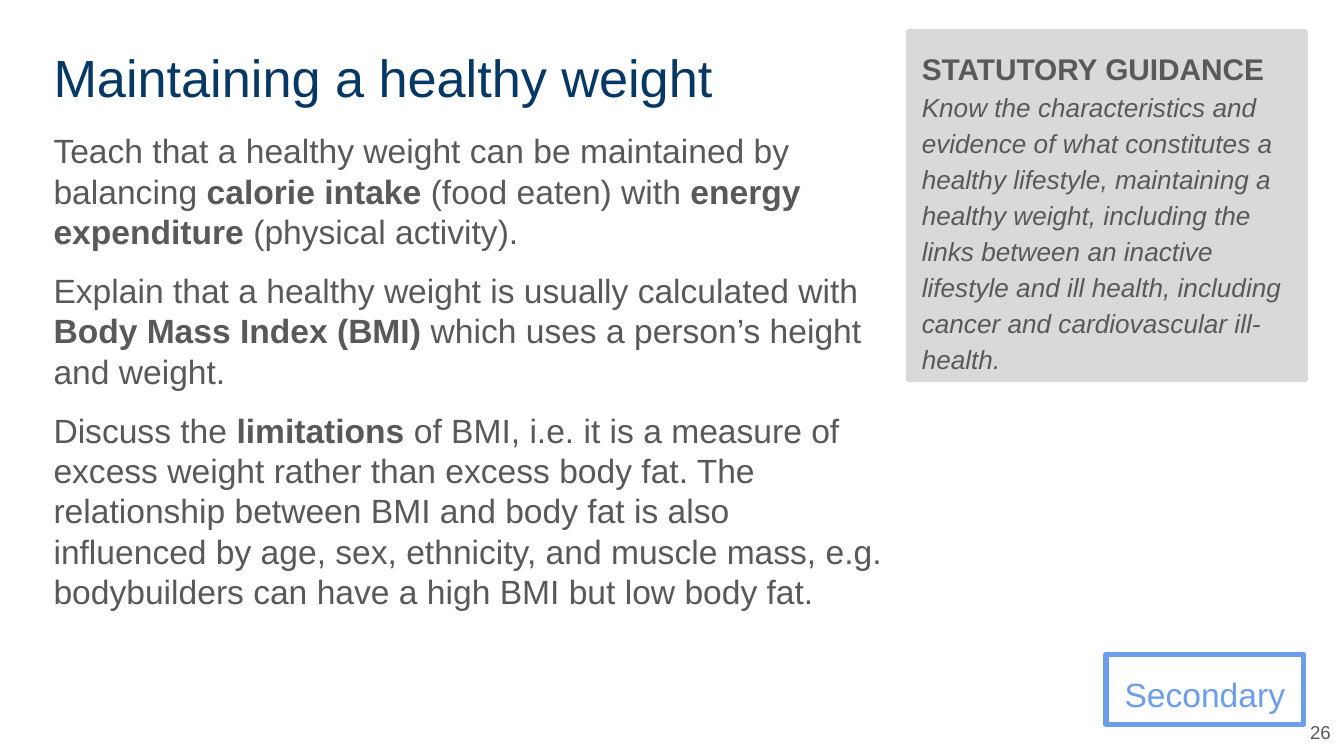
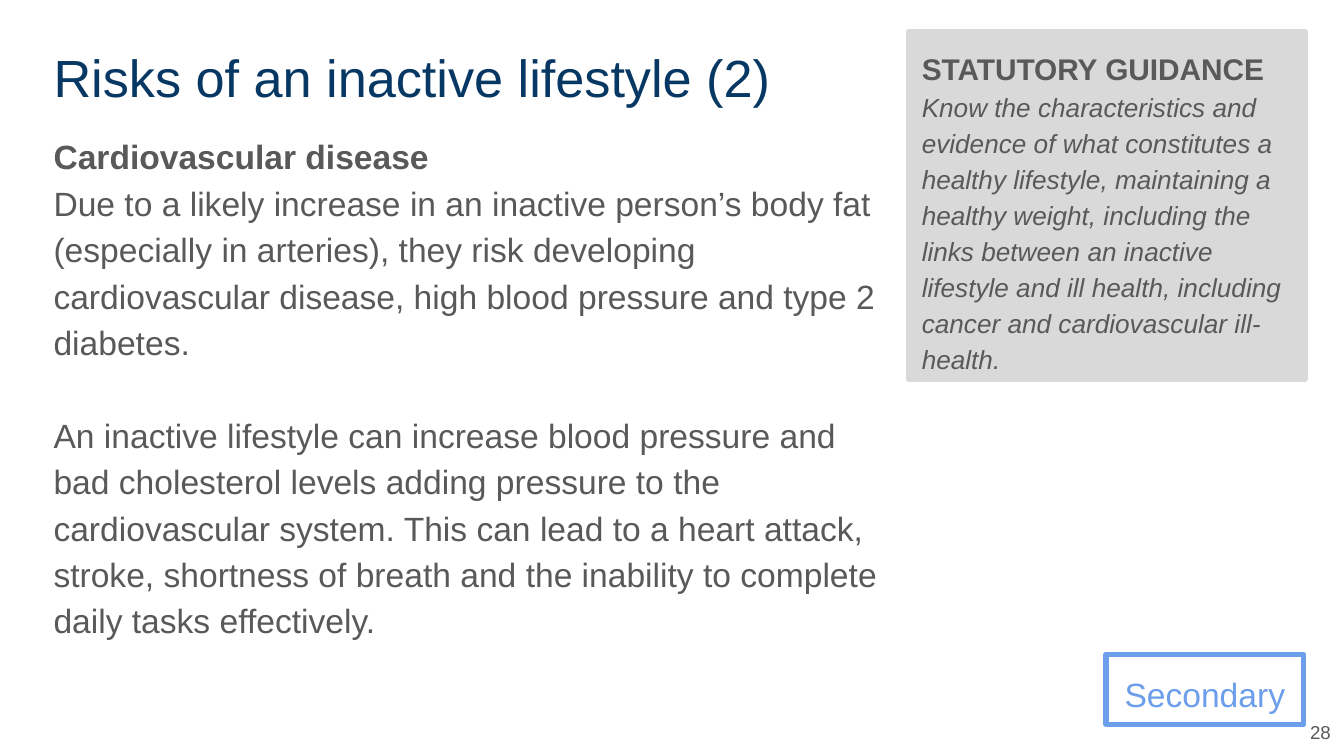
from dataclasses import dataclass

from lxml import etree
from pptx import Presentation
from pptx.dml.color import RGBColor
from pptx.enum.shapes import MSO_SHAPE
from pptx.enum.text import MSO_ANCHOR, PP_ALIGN
from pptx.oxml.ns import qn
from pptx.util import Inches, Pt

RECTANGLE = MSO_SHAPE.RECTANGLE
TOP, MIDDLE = MSO_ANCHOR.TOP, MSO_ANCHOR.MIDDLE
LEFT, CENTER, RIGHT = PP_ALIGN.LEFT, PP_ALIGN.CENTER, PP_ALIGN.RIGHT


@dataclass(frozen=True)
class Theme:
    font: str = "Arial"
    navy: str = "073763"
    text: str = "595959"
    panel: str = "D9D9D9"
    accent: str = "6D9EEB"
    title_size: int = 28
    body_size: int = 18
    heading_size: int = 16
    quote_size: int = 14
    number_size: int = 10
    border: int = 3
    loose: float = 1.15
    inset: float = 0.1


THEME = Theme()

# Grid: 100 columns by 56.25 rows of equal square cells
SLIDE_WIDTH, SLIDE_HEIGHT = Inches(10), Inches(5.625)
CELL = SLIDE_WIDTH / 100

# Regions as (column, row, columns wide, rows high)
MARGIN, TOP_ROW, TITLE_ROWS, TEXT_COLUMNS = 3, 2.4, 6.3, 64.1
BODY_ROW, TAG_ROW = TOP_ROW + TITLE_ROWS, 48.7
TITLE_BOX = (MARGIN, TOP_ROW, TEXT_COLUMNS, TITLE_ROWS)
BODY_BOX = (MARGIN, BODY_ROW, TEXT_COLUMNS, TAG_ROW - BODY_ROW)
GUIDANCE_BOX = (67.6, TOP_ROW, 29.5, 25.8)
TAG_BOX = (82.3, TAG_ROW, 14.7, 5.2)
NUMBER_BOX = (96.1, 52.6, 3.9, 3.7)

GUIDANCE_HEADING = "STATUTORY GUIDANCE"
GUIDANCE_QUOTE = (
    "Know the characteristics and evidence of what constitutes a healthy "
    "lifestyle, maintaining a healthy weight, including the links between an "
    "inactive lifestyle and ill health, including cancer and cardiovascular "
    "ill-health."
)

# Body paragraphs: (text with **bold** parts, space before in points)
LESSONS = [
    {
        "title": "Maintaining a healthy weight",
        "number": "26",
        "spacing": 1.0,
        "body": [
            ("Teach that a healthy weight can be maintained by balancing"
             "** calorie intake** (food eaten) with **energy expenditure **"
             "(physical activity).", 0),
            ("Explain that a healthy weight is usually calculated with "
             "**Body Mass Index (BMI)** which uses a person’s height and "
             "weight.", 10),
            ("Discuss the **limitations** of BMI, i.e. it is a measure of "
             "excess weight rather than excess body fat. The relationship "
             "between BMI and body fat is also influenced by age, sex, "
             "ethnicity, and muscle mass, e.g. bodybuilders can have a high "
             "BMI but low body fat.", 10),
        ],
    },
    {
        "title": "Risks of an inactive lifestyle (2)",
        "number": "28",
        "spacing": THEME.loose,
        "body": [
            ("**Cardiovascular disease**", 0),
            ("Due to a likely increase in an inactive person’s body fat "
             "(especially in arteries), they risk developing cardiovascular "
             "disease, high blood pressure and type 2 diabetes.", 0),
            ("An inactive lifestyle can increase blood pressure and bad "
             "cholesterol levels adding pressure to the cardiovascular "
             "system. This can lead to a heart attack, stroke, shortness of "
             "breath and the inability to complete daily tasks effectively.",
             25),
        ],
    },
]


def apply(target, formats):
    for name, value in formats.items():
        setattr(target, name, value)


def place(box):
    return [round(share * CELL) for share in box]


def prepare_frame(holder, anchor=TOP):
    frame = holder.text_frame
    sides = ("left", "top", "right", "bottom")
    formats = {f"margin_{side}": Inches(THEME.inset) for side in sides}
    apply(frame, formats | {"word_wrap": True, "vertical_anchor": anchor})
    return frame


def write(frame, text, size, color=THEME.text, align=LEFT, spacing=1.0,
          before=0, italic=False):
    """Add one paragraph; parts between ** marks are bold."""
    first = frame.paragraphs[0]
    paragraph = frame.add_paragraph() if first.runs else first
    apply(paragraph, {"alignment": align, "line_spacing": spacing,
                      "space_before": Pt(before), "space_after": Pt(0)})
    for index, part in enumerate(text.split("**")):
        if part:
            run = paragraph.add_run()
            run.text = part
            apply(run.font, {"name": THEME.font, "size": Pt(size),
                             "bold": index % 2 == 1, "italic": italic})
            run.font.color.rgb = RGBColor.from_string(color)


def add_text(slide, box, anchor=TOP):
    return prepare_frame(slide.shapes.add_textbox(*place(box)), anchor)


def add_panel(slide, box, border, fill=None):
    panel = slide.shapes.add_shape(RECTANGLE, *place(box))
    panel.shadow.inherit = False
    if fill:
        panel.fill.solid()
        panel.fill.fore_color.rgb = RGBColor.from_string(fill)
    else:
        panel.fill.background()
    panel.line.color.rgb = RGBColor.from_string(border)
    panel.line.width = Pt(THEME.border)
    # Rounded line joins
    etree.SubElement(panel.line._get_or_add_ln(), qn("a:round"))
    return prepare_frame(panel)


def add_title(slide, box, title):
    write(add_text(slide, box), title, THEME.title_size, THEME.navy)


def add_body(slide, box, paragraphs, spacing):
    frame = add_text(slide, box)
    for text, before in paragraphs:
        write(frame, text, THEME.body_size, spacing=spacing, before=before)


def add_page_number(slide, box, number):
    write(add_text(slide, box, MIDDLE), number, THEME.number_size, align=RIGHT)


def add_stage_tag(slide, box):
    write(add_panel(slide, box, THEME.accent), "Secondary", THEME.body_size,
          THEME.accent, CENTER, THEME.loose)


def add_guidance(slide, box):
    frame = add_panel(slide, box, THEME.panel, THEME.panel)
    write(frame, f"**{GUIDANCE_HEADING}**", THEME.heading_size,
          spacing=THEME.loose)
    write(frame, GUIDANCE_QUOTE, THEME.quote_size, spacing=THEME.loose,
          italic=True)


def add_lesson_slide(deck, lesson):
    slide = deck.slides.add_slide(deck.slide_layouts[6])
    add_title(slide, TITLE_BOX, lesson["title"])
    add_body(slide, BODY_BOX, lesson["body"], lesson["spacing"])
    add_page_number(slide, NUMBER_BOX, lesson["number"])
    add_stage_tag(slide, TAG_BOX)
    add_guidance(slide, GUIDANCE_BOX)


def main():
    deck = Presentation()
    apply(deck, {"slide_width": SLIDE_WIDTH, "slide_height": SLIDE_HEIGHT})
    for lesson in LESSONS:
        add_lesson_slide(deck, lesson)
    deck.save("out.pptx")


if __name__ == "__main__":
    main()
